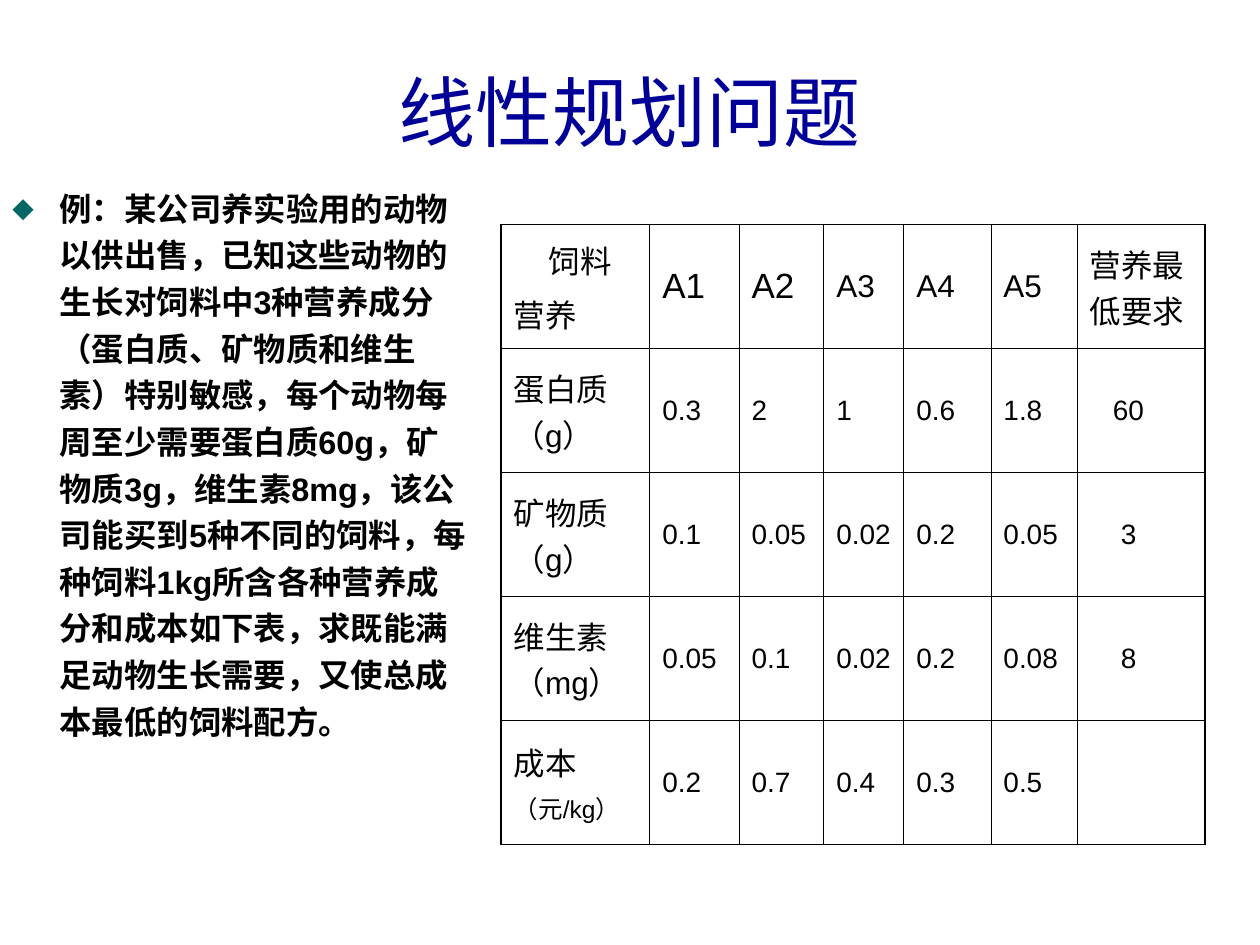
from lxml import etree
from pptx import Presentation
from pptx import util as u
from pptx.dml.color import RGBColor
from pptx.enum import text
from pptx.oxml.ns import qn

FONT = "Arial"
BLACK, NAVY, TEAL = "000000", "000099", "006666"
OUTER, INNER = 1.08, 0.45

STORY = (
    "例：某公司养实验用的动物以供出售，已知这些动物的生长对饲料中3种营养成分"
    "（蛋白质、矿物质和维生素）特别敏感，每个动物每周至少需要蛋白质60g，"
    "矿物质3g，维生素8mg，该公司能买到5种不同的饲料，每种饲料1kg所含各种"
    "营养成分和成本如下表，求既能满足动物生长需要，又使总成本最低的饲料配方。"
)
COLUMNS = [85, 51, 48.5, 45.75, 49.75, 49.25, 73]
ROW_HEIGHT = 70.85
ROWS = [
    ["饲料\n营养", "A1", "A2", "A3", "A4", "A5", "营养最低要求"],
    ["蛋白质（g）", "0.3", "2", "1", "0.6", "1.8", "60"],
    ["矿物质（g）", "0.1", "0.05", "0.02", "0.2", "0.05", "3"],
    ["维生素（mg）", "0.05", "0.1", "0.02", "0.2", "0.08", "8"],
    ["成本\n（元/kg）", "0.2", "0.7", "0.4", "0.3", "0.5", ""],
]
# Exceptions to the usual cell format, by the text of the line
SIZES = {"A1": 20, "A2": 20, "（元/kg）": 14}
INDENTS = {"饲料": 20, "60": 13.3, "3": 17.8, "8": 17.8}


def colour(code):
    return RGBColor.from_string(code)


def add_child(parent, tag, **attributes):
    return etree.SubElement(parent, qn(tag), attributes)


def write(para, words, size, color=BLACK, bold=False, align=None,
          before=0, spacing=None, left=0, first=0):
    """Add one formatted span of text to a paragraph."""
    properties = para._p.get_or_add_pPr()
    properties.set("marL", str(u.Pt(left)))
    properties.set("indent", str(u.Pt(first)))
    para.space_before = u.Pt(before)
    if align is not None:
        para.alignment = align
    if spacing:
        para.line_spacing = spacing
    span = para.add_run()
    span.text = words
    span.font.name = FONT
    span.font.size = u.Pt(size)
    span.font.bold = bold
    span.font.color.rgb = colour(color)


def add_bullet(para, sign, color, percent):
    properties = para._p.get_or_add_pPr()
    add_child(add_child(properties, "a:buClr"), "a:srgbClr", val=color)
    add_child(properties, "a:buSzPct", val=str(percent * 1000))
    add_child(properties, "a:buFont", typeface=FONT)
    add_child(properties, "a:buChar", char=sign)


def set_title(page, words):
    box = page.shapes.title
    box.left, box.top = u.Pt(24), u.Pt(18)
    box.width, box.height = u.Pt(672), u.Pt(90)
    box.text_frame.vertical_anchor = text.MSO_ANCHOR.MIDDLE
    write(box.text_frame.paragraphs[0], words, 44, NAVY,
          align=text.PP_ALIGN.CENTER)


def add_story(page):
    box = page.shapes.add_textbox(0, u.Pt(100), u.Pt(273.5), u.Pt(354))
    box.text_frame.word_wrap = True
    para = box.text_frame.paragraphs[0]
    add_bullet(para, "⬥", TEAL, 95)
    write(para, STORY, 18.5, bold=True, spacing=1.2, left=27, first=-27)


def set_borders(cell, widths):
    properties = cell._tc.get_or_add_tcPr()
    for side, width in zip("LRTB", widths):
        line = add_child(properties, f"a:ln{side}", w=str(u.Pt(width)))
        add_child(add_child(line, "a:solidFill"), "a:srgbClr", val=BLACK)


def fill_cell(cell, words, usual_size):
    cell.vertical_anchor = text.MSO_ANCHOR.MIDDLE
    cell.margin_left = cell.margin_right = u.Pt(7.2)
    cell.margin_top = cell.margin_bottom = u.Pt(3.6)
    frame = cell.text_frame
    for number, line in enumerate(words.split("\n")):
        para = frame.add_paragraph() if number else frame.paragraphs[0]
        size = SIZES.get(line, usual_size)
        write(para, line, size, before=size / 4 if number else 0,
              left=INDENTS.get(line, 0))


def add_feed_table(page):
    frame = page.shapes.add_table(
        len(ROWS), len(COLUMNS), u.Pt(286.3), u.Pt(128.3),
        u.Pt(sum(COLUMNS)), u.Pt(ROW_HEIGHT * len(ROWS)))
    table = frame.table
    table.first_row = table.horz_banding = False
    for column, width in zip(table.columns, COLUMNS):
        column.width = u.Pt(width)
    last_row, last_column = len(ROWS) - 1, len(COLUMNS) - 1
    for r, row in enumerate(ROWS):
        table.rows[r].height = u.Pt(ROW_HEIGHT)
        for c, words in enumerate(row):
            cell = table.cell(r, c)
            edges = (c == 0, c == last_column, r == 0, r == last_row)
            set_borders(cell, [OUTER if edge else INNER for edge in edges])
            cell.fill.background()
            fill_cell(cell, words, 18 if r == 0 or c == 0 else 16)


def main():
    deck = Presentation()
    deck.slide_width, deck.slide_height = u.Pt(720), u.Pt(540)
    page = deck.slides.add_slide(deck.slide_layouts[5])
    # Heading, problem statement on the left, data on the right
    set_title(page, "线性规划问题")
    add_story(page)
    add_feed_table(page)
    deck.save("out.pptx")


if __name__ == "__main__":
    main()
